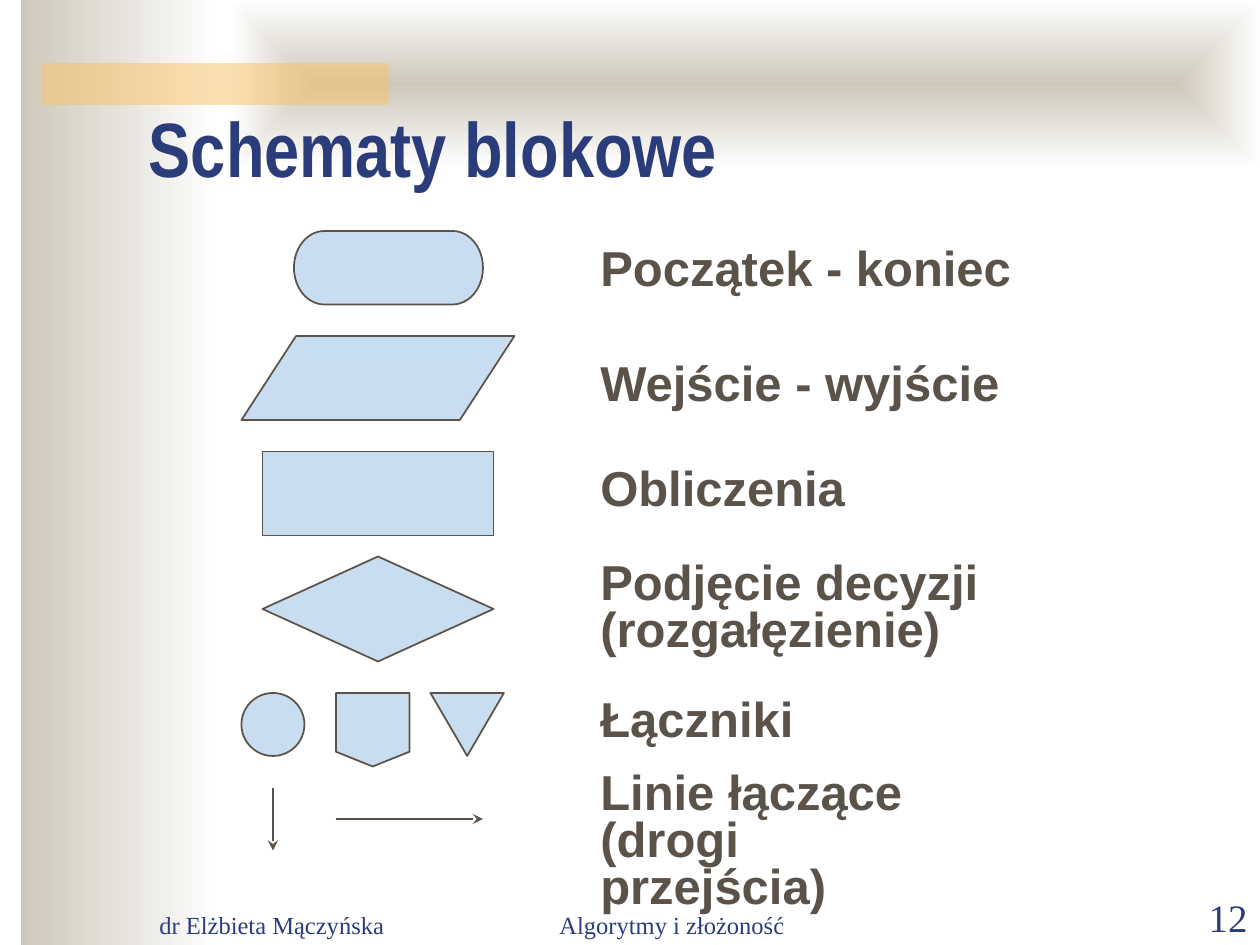
"""Builds a slide that explains the symbols of a flowchart."""
from lxml import etree
from pptx import Presentation
from pptx.dml.color import RGBColor
from pptx.enum.shapes import MSO_CONNECTOR, MSO_SHAPE
from pptx.enum.text import MSO_ANCHOR, MSO_AUTO_SIZE, PP_ALIGN
from pptx.oxml.ns import qn
from pptx.util import Emu, Inches, Pt

COLUMNS, ROWS = 120, 90
CELL = Inches(10) / COLUMNS

NAVY, BROWN, SKY = "2A3D7A", "5B5249", "C9DDF1"
SAND, WHITE, AMBER = "CEC8BA", "FFFFFF", "FAC164"

RECTANGLE = MSO_SHAPE.RECTANGLE
STRAIGHT = MSO_CONNECTOR.STRAIGHT
TOP, BOTTOM = MSO_ANCHOR.TOP, MSO_ANCHOR.BOTTOM
LEFT, CENTER, RIGHT = PP_ALIGN.LEFT, PP_ALIGN.CENTER, PP_ALIGN.RIGHT

SIDE_PANEL = (2, 0, 19, ROWS)
TOP_PANEL = (22, 0, 98, 16)
ACCENT_BAR = (4, 6, 33, 4)

TITLE = "Schematy blokowe"
TITLE_AREA = (13, 12, 102, 7)

FOOTER_TOP, FOOTER_HEIGHT = 84.1, 6
FOOTERS = [
    ("dr Elżbieta Mączyńska", 14, 25, LEFT, 14),
    ("Algorytmy i złożoność", 45, 38, CENTER, 14),
    ("12", 108, 12, RIGHT, 22.2),
]

LABEL_LEFT = 56
LABEL_HEIGHTS = {1: 6.8, 2: 10.2}
LABELS = [
    (["Początek - koniec"], 22, 41.5),
    (["Wejście - wyjście"], 33, 40.4),
    (["Obliczenia"], 43, 25.7),
    (["Podjęcie decyzji", "(rozgałęzienie)"], 53, 38.4),
    (["Łączniki"], 65, 20.8),
    (["Linie łączące (drogi", "przejścia)"], 73, 45.6),
]

BLOCKS = [
    (MSO_SHAPE.FLOWCHART_TERMINATOR, (28, 22, 18, 7)),
    (MSO_SHAPE.FLOWCHART_DATA, (23, 32, 26, 8)),
    (MSO_SHAPE.FLOWCHART_PROCESS, (25, 43, 22, 8)),
    (MSO_SHAPE.FLOWCHART_DECISION, (25, 53, 22, 10)),
]
JOINTS = [
    (MSO_SHAPE.FLOWCHART_CONNECTOR, (23, 66, 6, 6)),
    (MSO_SHAPE.FLOWCHART_OFFPAGE_CONNECTOR, (32, 66, 7, 7)),
    (MSO_SHAPE.FLOWCHART_MERGE, (41, 66, 7, 6)),
]
ARROWS = [(26, 75, 26, 81), (32, 78, 46, 78)]


def rgb(color):
    return RGBColor.from_string(color)


def on_grid(cells):
    return [Emu(round(cell * CELL)) for cell in cells]


def add_block(shapes, kind, area, fill=None, outline=None):
    block = shapes.add_shape(kind, *on_grid(area))
    block.shadow.inherit = False
    if fill:
        block.fill.solid()
        block.fill.fore_color.rgb = rgb(fill)
    if outline:
        block.line.color.rgb = rgb(outline)
        block.line.width = Pt(1)
    else:
        block.line.fill.background()
    return block


def add_fading_panel(shapes, area, from_center=False):
    panel = add_block(shapes, RECTANGLE, area)
    panel.fill.gradient()
    panel.fill.gradient_angle = 0
    for stop, position, color in zip(panel.fill.gradient_stops, (0, 1), (SAND, WHITE)):
        stop.position = position
        stop.color.rgb = rgb(color)
    if from_center:
        gradient = panel.element.spPr.find(qn("a:gradFill"))
        linear = gradient.find(qn("a:lin"))
        radial = etree.Element(qn("a:path"), {"path": "rect"})
        etree.SubElement(radial, qn("a:fillToRect"), {side: "50000" for side in "ltrb"})
        gradient.replace(linear, radial)


def add_accent_bar(shapes):
    bar = add_block(shapes, RECTANGLE, ACCENT_BAR, AMBER)
    color = bar.element.spPr.find(qn("a:solidFill"))[0]
    etree.SubElement(color, qn("a:alpha"), {"val": "50000"})


def add_arrow(shapes, ends):
    arrow = shapes.add_connector(STRAIGHT, *on_grid(ends))
    arrow.line.color.rgb = rgb(BROWN)
    arrow.line.width = Pt(1)
    etree.SubElement(arrow.line._get_or_add_ln(), qn("a:tailEnd"), {"type": "stealth"})
    etree.SubElement(arrow.element.spPr, qn("a:effectLst"))


def add_text(shapes, lines, area, *, size, font, color, bold=False,
             align=LEFT, anchor=TOP, spacing=None, grow=False):
    box = shapes.add_textbox(*on_grid(area))
    frame = box.text_frame
    frame.word_wrap = not grow
    frame.auto_size = MSO_AUTO_SIZE.SHAPE_TO_FIT_TEXT if grow else MSO_AUTO_SIZE.NONE
    frame.vertical_anchor = anchor
    frame.text = "\n".join(lines)
    for paragraph in frame.paragraphs:
        paragraph.alignment = align
        paragraph.line_spacing = spacing
        for run in paragraph.runs:
            run.font.size = Pt(size)
            run.font.name = font
            run.font.bold = bold
            run.font.color.rgb = rgb(color)


def main():
    deck = Presentation()
    deck.slide_width, deck.slide_height = on_grid((COLUMNS, ROWS))
    slide = deck.slides.add_slide(deck.slide_layouts[6])
    slide.background.fill.solid()
    slide.background.fill.fore_color.rgb = rgb(WHITE)
    shapes = slide.shapes

    add_fading_panel(shapes, SIDE_PANEL)
    add_fading_panel(shapes, TOP_PANEL, from_center=True)
    add_accent_bar(shapes)

    for footer, left, width, align, size in FOOTERS:
        add_text(shapes, [footer], (left, FOOTER_TOP, width, FOOTER_HEIGHT), size=size,
                 font="Times New Roman", color=NAVY, align=align, anchor=BOTTOM)
    add_text(shapes, [TITLE], TITLE_AREA, size=44, font="Arial Narrow",
             color=NAVY, bold=True, anchor=BOTTOM)

    for lines, top, width in LABELS:
        area = (LABEL_LEFT, top, width, LABEL_HEIGHTS[len(lines)])
        add_text(shapes, lines, area, size=28, font="Arial", color=BROWN, bold=True,
                 spacing=0.8 if len(lines) > 1 else None, grow=True)

    joint_group = shapes.add_group_shape().shapes
    for target, symbols in ((shapes, BLOCKS), (joint_group, JOINTS)):
        for kind, area in symbols:
            add_block(target, kind, area, SKY, BROWN)

    arrow_group = shapes.add_group_shape().shapes
    for ends in ARROWS:
        add_arrow(arrow_group, ends)

    deck.save("out.pptx")


if __name__ == "__main__":
    main()
